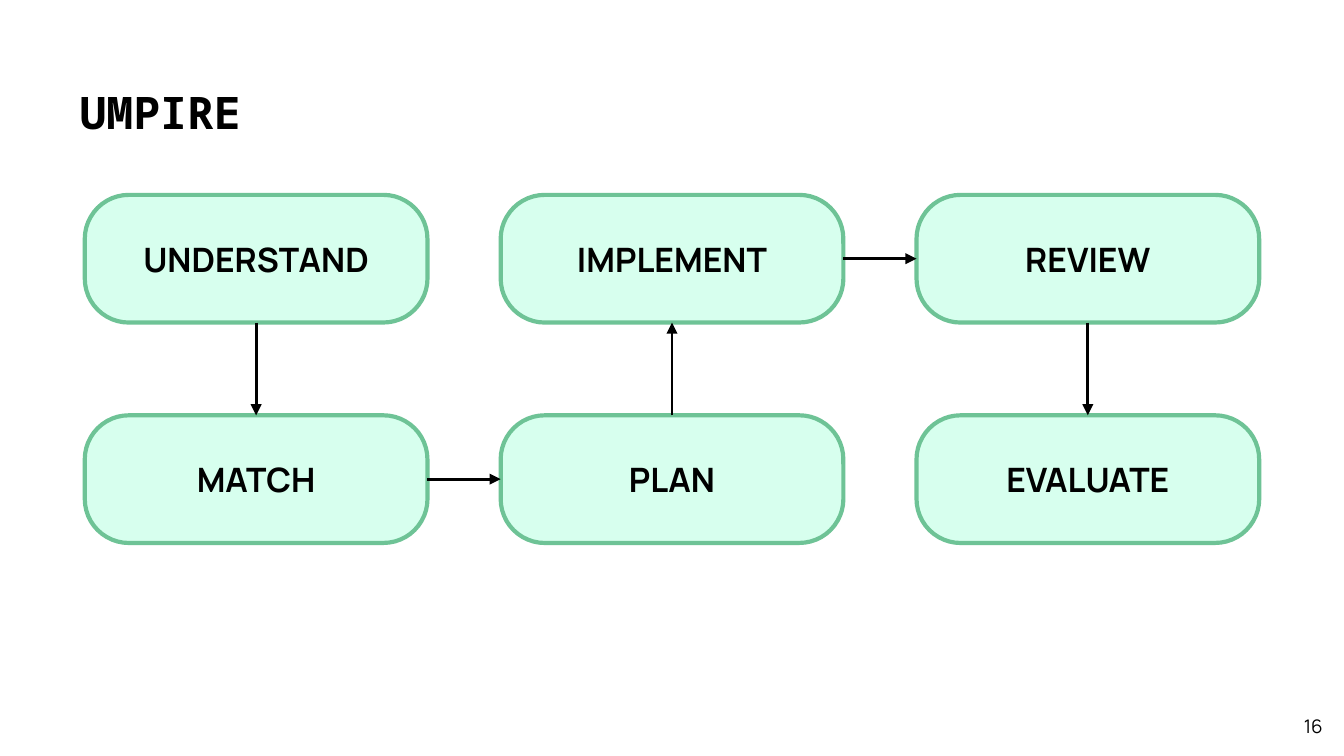
"""Build the UMPIRE problem-solving flow slide."""
from lxml import etree
from pptx import Presentation
from pptx.dml.color import RGBColor
from pptx.enum.shapes import MSO_CONNECTOR, MSO_SHAPE
from pptx.enum.text import MSO_ANCHOR, MSO_AUTO_SIZE, PP_ALIGN
from pptx.oxml.ns import qn
from pptx.util import Pt

LEFT, CENTER, RIGHT = PP_ALIGN.LEFT, PP_ALIGN.CENTER, PP_ALIGN.RIGHT
TOP, MIDDLE = MSO_ANCHOR.TOP, MSO_ANCHOR.MIDDLE
ROUNDED, STRAIGHT = MSO_SHAPE.ROUNDED_RECTANGLE, MSO_CONNECTOR.STRAIGHT
NO_FIT = MSO_AUTO_SIZE.NONE

TITLE = "UMPIRE"
PAGE = "16"
STEPS = [
    ("UNDERSTAND", 0, 0),
    ("MATCH", 0, 1),
    ("PLAN", 1, 1),
    ("IMPLEMENT", 1, 0),
    ("REVIEW", 2, 0),
    ("EVALUATE", 2, 1),
]

THEME = {
    "ink": RGBColor(0x00, 0x00, 0x00),
    "paper": RGBColor(0xFF, 0xFF, 0xFF),
    "fill": RGBColor(0xD7, 0xFF, 0xEE),
    "edge": RGBColor(0x6E, 0xC3, 0x96),
    "mono": "Noto Sans Mono",
    "sans": "Manrope",
    "title": 24,
    "step": 18,
    "page": 10,
}

GRID_LEFT, GRID_TOP = 45.4, 104.4
STEP_X, STEP_Y = 222.8, 118.1
BOX_W, BOX_H = 183.6, 68.4
INSET = 7.2
SITES = {(0, 1): (2, 0), (0, -1): (0, 2), (1, 0): (3, 1)}


def write(shape, text, *, font, size, bold=False, align=LEFT, anchor=MIDDLE):
    tf = shape.text_frame
    tf.word_wrap = True
    tf.auto_size = NO_FIT
    tf.vertical_anchor = anchor
    tf.margin_left = tf.margin_right = tf.margin_top = tf.margin_bottom = Pt(INSET)
    p = tf.paragraphs[0]
    p.alignment = align
    r = p.add_run()
    r.text = text
    r.font.name, r.font.size, r.font.bold = font, Pt(size), bold
    r.font.color.rgb = THEME["ink"]


def add_step(s, text, col, row):
    sp = s.shapes.add_shape(
        ROUNDED,
        Pt(GRID_LEFT + col * STEP_X),
        Pt(GRID_TOP + row * STEP_Y),
        Pt(BOX_W),
        Pt(BOX_H),
    )
    sp.adjustments[0] = 0.345
    sp.shadow.inherit = False
    sp.fill.solid()
    sp.fill.fore_color.rgb = THEME["fill"]
    sp.line.color.rgb = THEME["edge"]
    sp.line.width = Pt(2.25)
    write(sp, text, font=THEME["sans"], size=THEME["step"], bold=True, align=CENTER)
    return sp


def add_arrow(s, start, end, direction):
    begin_site, end_site = SITES[direction]
    arrow = s.shapes.add_connector(STRAIGHT, 0, 0, 0, 0)
    arrow.begin_connect(start, begin_site)
    arrow.end_connect(end, end_site)
    arrow.line.color.rgb = THEME["ink"]
    arrow.line.width = Pt(1.5)
    etree.SubElement(arrow.line._get_or_add_ln(), qn("a:tailEnd"), type="triangle")
    etree.SubElement(arrow._element.spPr, qn("a:effectLst"))


def main():
    prs = Presentation()
    prs.slide_width, prs.slide_height = Pt(720), Pt(405)
    s = prs.slides.add_slide(prs.slide_layouts[5])
    s.background.fill.solid()
    s.background.fill.fore_color.rgb = THEME["paper"]

    title = s.shapes.title
    title.left, title.top, title.width, title.height = Pt(35.4), Pt(38.2), Pt(649), Pt(45.4)
    write(title, TITLE, font=THEME["mono"], size=THEME["title"], bold=True, anchor=TOP)

    page = s.shapes.add_textbox(Pt(672.5), Pt(377.3), Pt(43.2), Pt(23.8))
    write(page, PAGE, font=THEME["sans"], size=THEME["page"], align=RIGHT)

    boxes = [add_step(s, *step) for step in STEPS]
    for i in range(len(STEPS) - 1):
        (_, col, row), (_, next_col, next_row) = STEPS[i : i + 2]
        add_arrow(s, boxes[i], boxes[i + 1], (next_col - col, next_row - row))

    prs.save("out.pptx")


if __name__ == "__main__":
    main()
